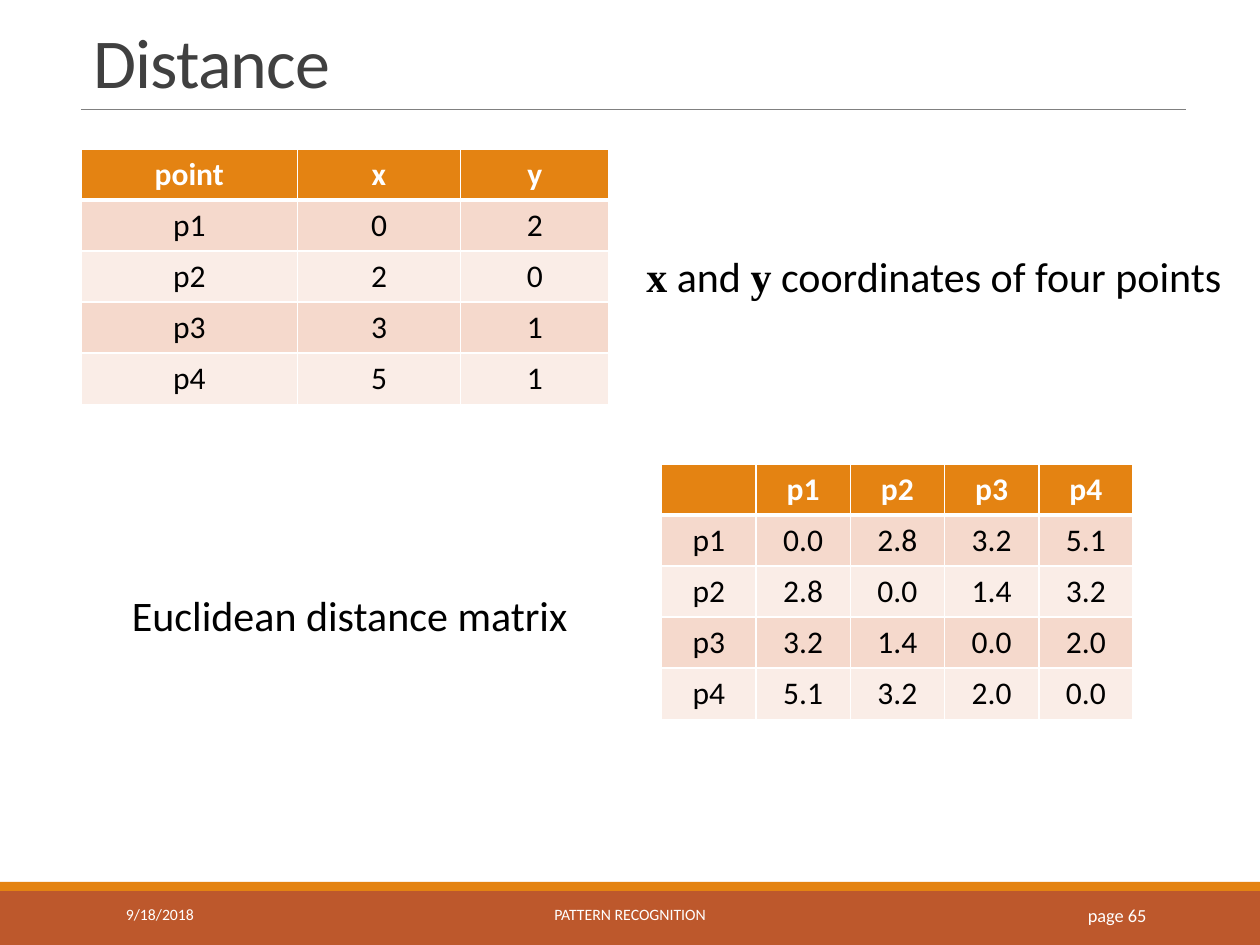
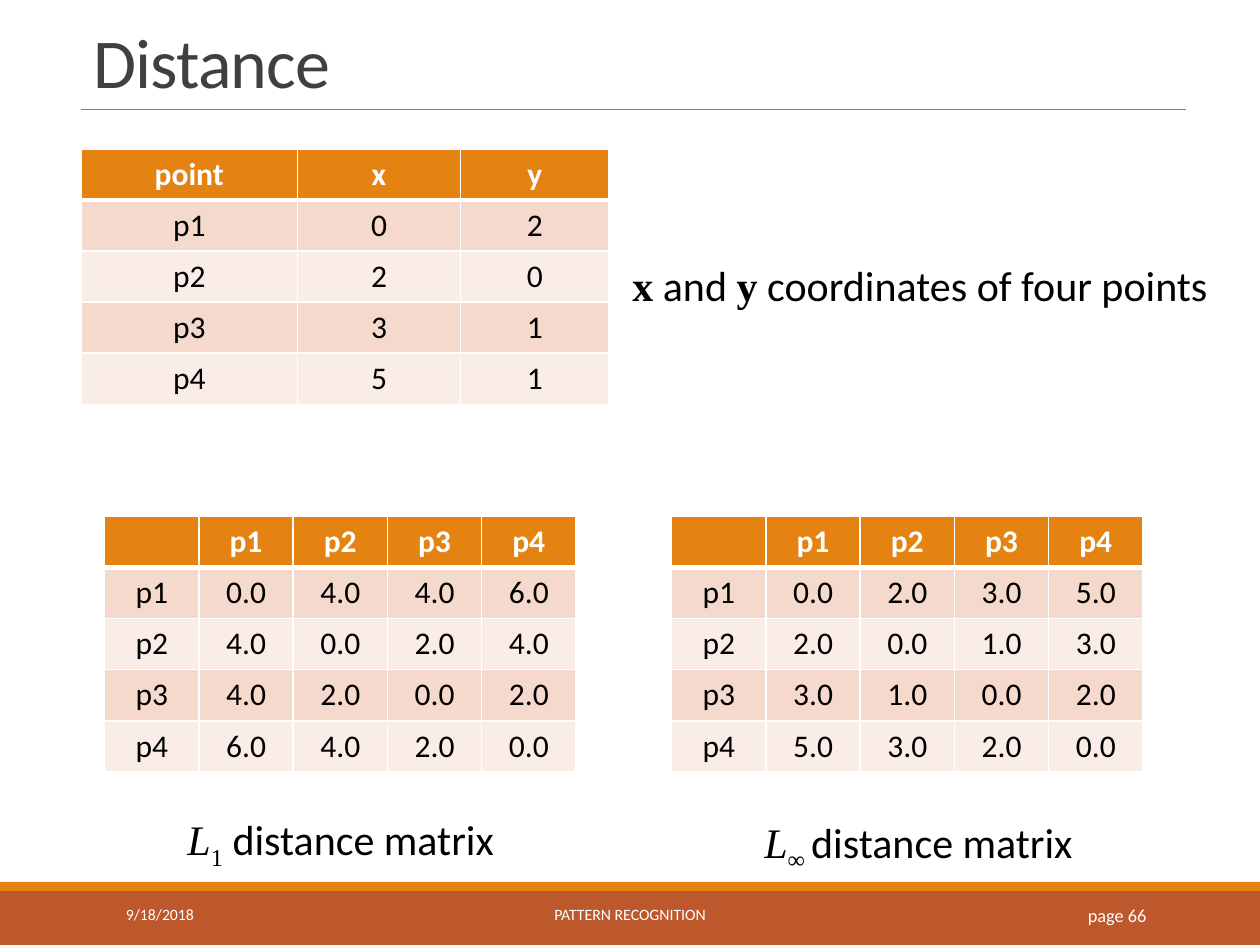
from math import hypot

from lxml import etree
from pptx import Presentation
from pptx.dml.color import RGBColor
from pptx.enum.shapes import MSO_CONNECTOR, MSO_SHAPE
from pptx.enum.text import MSO_ANCHOR, MSO_AUTO_SIZE, PP_ALIGN
from pptx.oxml.ns import qn
from pptx.util import Cm, Pt

LEFT, CENTER, RIGHT = PP_ALIGN.LEFT, PP_ALIGN.CENTER, PP_ALIGN.RIGHT
TOP, MIDDLE, BOTTOM = MSO_ANCHOR.TOP, MSO_ANCHOR.MIDDLE, MSO_ANCHOR.BOTTOM
STRAIGHT, RECTANGLE = MSO_CONNECTOR.STRAIGHT, MSO_SHAPE.RECTANGLE
NO_AUTOFIT, GROW = MSO_AUTO_SIZE.NONE, MSO_AUTO_SIZE.SHAPE_TO_FIT_TEXT

WHITE = RGBColor(0xFF, 0xFF, 0xFF)
BLACK = RGBColor(0x00, 0x00, 0x00)
TITLE_GRAY = RGBColor(0x40, 0x40, 0x40)
RULE_GRAY = RGBColor(0x80, 0x80, 0x80)
ORANGE = RGBColor(0xE4, 0x83, 0x12)
RUST = RGBColor(0xBD, 0x58, 0x2C)
ROW_DARK = RGBColor(0xF5, 0xD9, 0xCC)
ROW_LIGHT = RGBColor(0xFA, 0xED, 0xE7)

SANS, SERIF = "Calibri", "Times New Roman"
ROW_HEIGHT = 1.03
MATRIX_COLUMNS = [1.9] * 5


def write_text(frame, text, size=24, color=BLACK, bold=False, align=LEFT,
               anchor=TOP, line_spacing=None, tracking=None):
    """Write a string, or a list of (text, run format) pairs, as one paragraph."""
    frame.vertical_anchor = anchor
    paragraph = frame.paragraphs[0]
    paragraph.alignment = align
    paragraph.line_spacing = line_spacing
    runs = [(text, {})] if isinstance(text, str) else text
    for run_text, style in runs:
        run = paragraph.add_run()
        run.text = run_text
        font = run.font
        font.name = style.get("font", SANS)
        font.size = Pt(size)
        font.color.rgb = color
        font.bold = style.get("bold", bold)
        font.italic = style.get("italic", False)
        properties = run._r.get_or_add_rPr()
        if "baseline" in style:
            properties.set("baseline", str(style["baseline"] * 1000))
        if tracking is not None:
            properties.set("spc", str(int(tracking * 100)))


def add_grid(slide, left, top, column_widths, rows, side_margin=0.25):
    """Add a table with a header row, banded body rows and white borders."""
    table = slide.shapes.add_table(
        len(rows), len(column_widths), Cm(left), Cm(top),
        Cm(sum(column_widths)), Cm(ROW_HEIGHT * len(rows))).table
    table.horz_banding = False
    for column, width in zip(table.columns, column_widths):
        column.width = Cm(width)
    for row_index, values in enumerate(rows):
        table.rows[row_index].height = Cm(ROW_HEIGHT)
        header = row_index == 0
        borders = {"lnL": 1, "lnR": 1, "lnT": 3 if row_index == 1 else 1,
                   "lnB": 3 if header else 1}
        for column_index, value in enumerate(values):
            cell = table.cell(row_index, column_index)
            cell.margin_left = cell.margin_right = Cm(side_margin)
            cell_properties = cell._tc.get_or_add_tcPr()
            for side, width in borders.items():
                line = etree.SubElement(cell_properties, qn(f"a:{side}"), w=str(Pt(width)))
                fill = etree.SubElement(line, qn("a:solidFill"))
                etree.SubElement(fill, qn("a:srgbClr"), val=str(WHITE))
            cell.fill.solid()
            cell.fill.fore_color.rgb = (
                ORANGE if header else ROW_DARK if row_index % 2 else ROW_LIGHT)
            if value:
                write_text(cell.text_frame, value, size=18, bold=header,
                           color=WHITE if header else BLACK, align=CENTER)


# The points and the three distances between them
points = {"p1": (0, 2), "p2": (2, 0), "p3": (3, 1), "p4": (5, 1)}
point_rows = [["point", "x", "y"]]
point_rows += [[name, str(x), str(y)] for name, (x, y) in points.items()]

distances = {
    "euclidean": hypot,
    "l1": lambda dx, dy: abs(dx) + abs(dy),
    "l_infinity": lambda dx, dy: max(abs(dx), abs(dy)),
}
matrices = {}
for distance_name, distance in distances.items():
    matrices[distance_name] = [["", *points]]
    for name, (x1, y1) in points.items():
        matrices[distance_name].append(
            [name] + [f"{distance(x1 - x2, y1 - y2):.1f}" for x2, y2 in points.values()])

# Captions
coordinates_caption = [
    ("x", {"font": SERIF, "bold": True}), (" and ", {}),
    ("y", {"font": SERIF, "bold": True}), (" coordinates of four points", {})]
l1_caption = [
    ("L", {"font": SERIF, "italic": True}),
    ("1", {"font": SERIF, "baseline": -25}), (" distance matrix", {})]
l_infinity_caption = [
    ("L", {"font": SERIF, "italic": True}),
    ("∞ ", {"font": SERIF, "baseline": -25}), ("distance matrix", {})]

# What differs per slide: matrices (name, left, top), captions (text, left, top, width)
slide_contents = [
    {"page": 65,
     "matrices": [("euclidean", 13.34, 9.35)],
     "captions": [(coordinates_caption, 12.78, 4.93, 12.22),
                  ("Euclidean distance matrix", 2.41, 11.76, 9.37)]},
    {"page": 66,
     "matrices": [("l1", 2.11, 10.41), ("l_infinity", 13.54, 10.41)],
     "captions": [(coordinates_caption, 12.5, 5.11, 12.22),
                  (l1_caption, 3.53, 16.28, 6.83),
                  (l_infinity_caption, 15.16, 16.33, 6.91)]},
]

presentation = Presentation()
presentation.slide_width, presentation.slide_height = Cm(25.4), Cm(19.05)
title_only = presentation.slide_layouts[5]

for content in slide_contents:
    slide = presentation.slides.add_slide(title_only)

    # Title and the rule below it
    title = slide.shapes.title
    title.left, title.top, title.width, title.height = Cm(1.63), Cm(0.33), Cm(22.28), Cm(1.88)
    title.text_frame.auto_size = NO_AUTOFIT
    write_text(title.text_frame, "Distance", size=40, color=TITLE_GRAY,
               anchor=BOTTOM, line_spacing=0.85, tracking=-0.5)
    rule = slide.shapes.add_connector(STRAIGHT, Cm(1.63), Cm(2.21), Cm(23.9), Cm(2.21))
    rule.line.color.rgb = RULE_GRAY
    rule.line.width = Pt(0.5)
    etree.SubElement(rule._element.spPr, qn("a:effectLst"))

    # Footer bands
    for top, height, color in [(17.93, 1.12, RUST), (17.78, 0.18, ORANGE)]:
        band = slide.shapes.add_shape(
            RECTANGLE, 0, Cm(top), presentation.slide_width, Cm(height))
        band.shadow.inherit = False
        band.fill.solid()
        band.fill.fore_color.rgb = color
        band.line.fill.background()

    # Footer texts
    for text, left, width, size, align in [
            ("9/18/2018", 2.29, 5.16, 9, LEFT),
            ("PATTERN RECOGNITION", 7.67, 10.06, 9, CENTER),
            (f"page {content['page']}", 20.62, 2.74, 10.5, RIGHT)]:
        footer = slide.shapes.add_textbox(Cm(left), Cm(17.93), Cm(width), Cm(1.02))
        footer.text_frame.word_wrap = True
        write_text(footer.text_frame, text, size=size, color=WHITE,
                   align=align, anchor=MIDDLE)

    # Tables
    add_grid(slide, 1.63, 3, [4.37, 3.28, 3], point_rows, side_margin=0.69)
    for distance_name, left, top in content["matrices"]:
        add_grid(slide, left, top, MATRIX_COLUMNS, matrices[distance_name])

    # Captions
    for text, left, top, width in content["captions"]:
        caption = slide.shapes.add_textbox(Cm(left), Cm(top), Cm(width), Cm(1.27))
        caption.text_frame.word_wrap = False
        caption.text_frame.auto_size = GROW
        write_text(caption.text_frame, text)

presentation.save("out.pptx")
